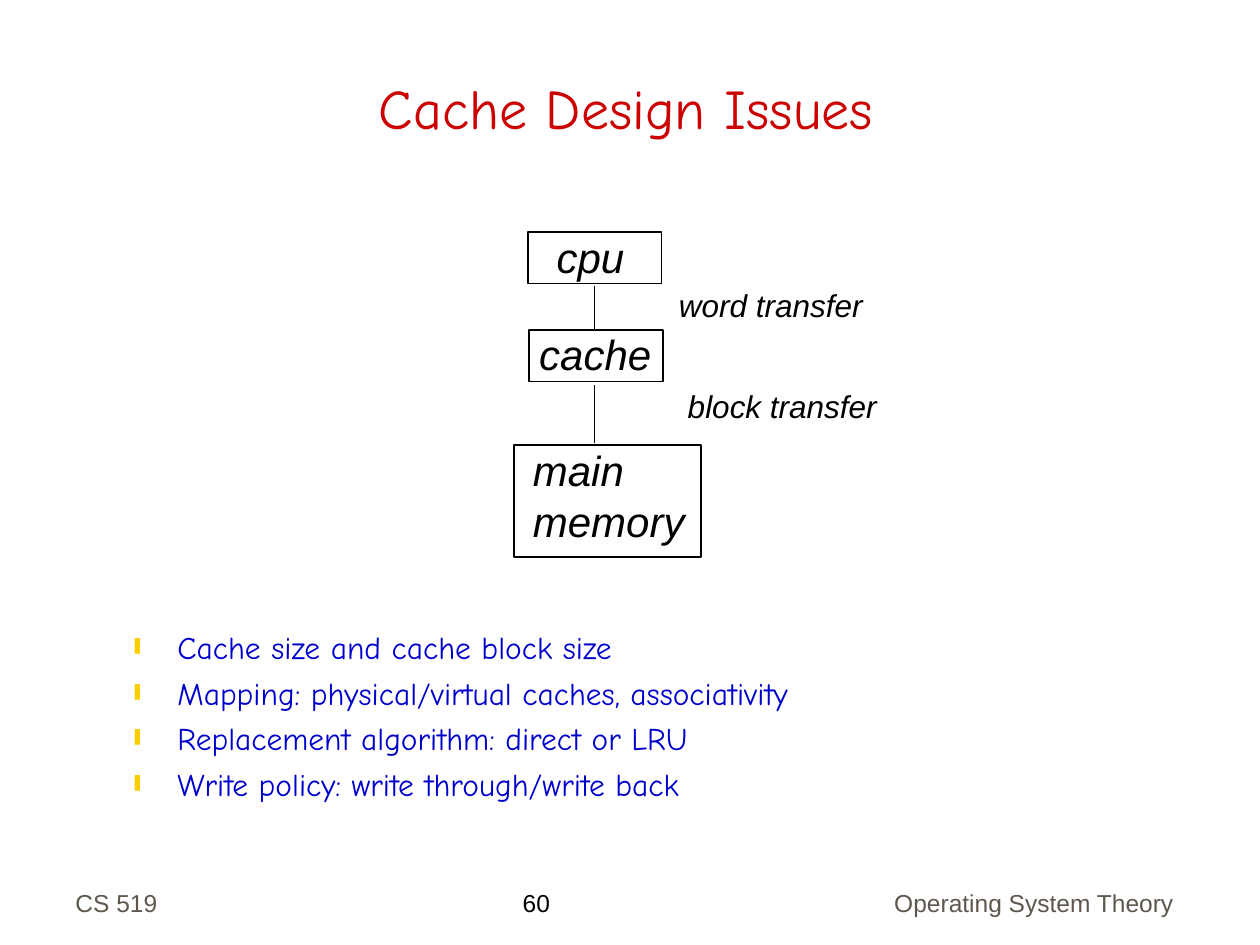
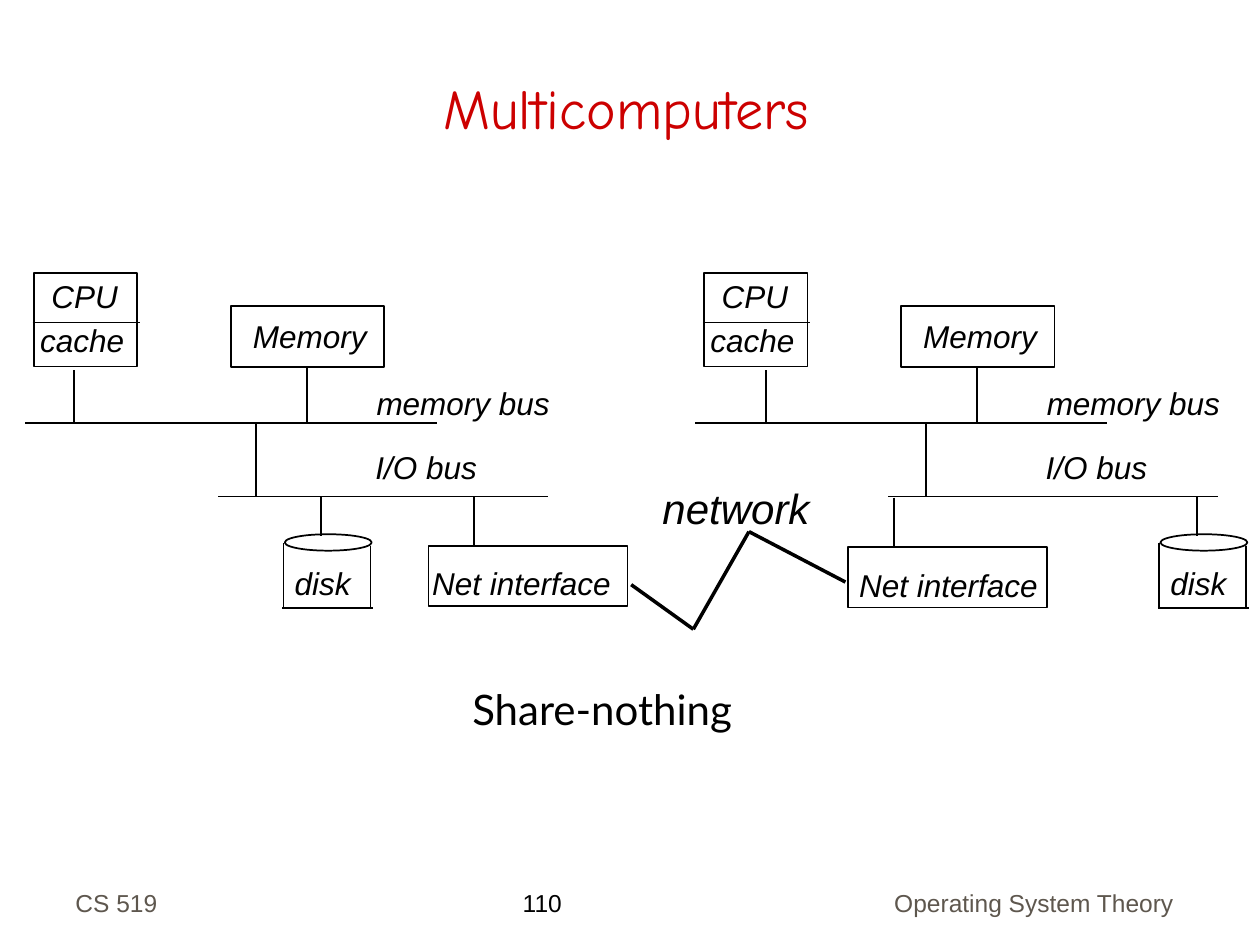
"""Build two lecture slides on cache design and multicomputers."""
from dataclasses import dataclass
from itertools import pairwise

from lxml import etree
from pptx import Presentation
from pptx.dml.color import RGBColor
from pptx.enum.shapes import MSO_CONNECTOR, MSO_SHAPE
from pptx.enum.text import MSO_ANCHOR, MSO_AUTO_SIZE, PP_ALIGN
from pptx.oxml.ns import qn
from pptx.slide import Slide
from pptx.util import Pt

LINE = MSO_CONNECTOR.STRAIGHT
RECT, OVAL = MSO_SHAPE.RECTANGLE, MSO_SHAPE.OVAL
TOP, BOTTOM = MSO_ANCHOR.TOP, MSO_ANCHOR.BOTTOM
LEFT, CENTER, RIGHT = PP_ALIGN.LEFT, PP_ALIGN.CENTER, PP_ALIGN.RIGHT
GROW, FIXED = MSO_AUTO_SIZE.SHAPE_TO_FIT_TEXT, MSO_AUTO_SIZE.NONE

BLACK = RGBColor(0x00, 0x00, 0x00)
WHITE = RGBColor(0xFF, 0xFF, 0xFF)
RED = RGBColor(0xCC, 0x00, 0x00)
BLUE = RGBColor(0x00, 0x00, 0xCC)
GOLD = RGBColor(0xFF, 0xCC, 0x00)
GREY = RGBColor(0x5E, 0x57, 0x4E)

SANS, COMIC, LATO = "Arial", "Comic Neue", "Lato"
SMALL, LARGE = 28.8, 36
INDENT = 26.6


@dataclass(frozen=True)
class Label:
    text: str
    x: float
    y: float
    w: float
    h: float = SMALL
    size: float = 18
    font: str = SANS
    color: RGBColor = BLACK
    slant: bool = True
    wrap: bool = False
    align: PP_ALIGN = LEFT
    anchor: MSO_ANCHOR = TOP
    bullet: bool = False


@dataclass(frozen=True)
class Box:
    x: float
    y: float
    w: float
    h: float
    kind: MSO_SHAPE = RECT


@dataclass(frozen=True)
class Wire:
    x1: float
    y1: float
    x2: float
    y2: float
    width: float = 1


@dataclass(frozen=True)
class Node:
    """Shifts of the parts of one computer from the left-hand one."""
    base: float = 0
    stem: float = 0
    disk: float = 0
    net: float = 0
    name: float = 0
    drop: float = 0


Part = Label | Box | Wire


def add_bullet(para) -> None:
    props = para._p.get_or_add_pPr()
    props.set("marL", str(Pt(INDENT)))
    props.set("indent", str(-Pt(INDENT)))
    tint = etree.SubElement(props, qn("a:buClr"))
    etree.SubElement(tint, qn("a:srgbClr")).set("val", str(GOLD))
    etree.SubElement(props, qn("a:buSzPct")).set("val", "50000")
    etree.SubElement(props, qn("a:buChar")).set("char", "❚")


def add_label(slide: Slide, item: Label) -> None:
    shape = slide.shapes.add_textbox(Pt(item.x), Pt(item.y), Pt(item.w), Pt(item.h))
    frame = shape.text_frame
    frame.word_wrap = item.wrap
    frame.auto_size = FIXED if item.wrap else GROW
    frame.vertical_anchor = item.anchor
    for i, line in enumerate(item.text.split("\n")):
        para = frame.add_paragraph() if i else frame.paragraphs[0]
        para.alignment = item.align
        if item.bullet:
            add_bullet(para)
            if i:
                para.space_before = Pt(4.5)
        run = para.add_run()
        run.text = line
        run.font.name = item.font
        run.font.size = Pt(item.size)
        run.font.italic = item.slant
        run.font.color.rgb = item.color


def add_box(slide: Slide, item: Box) -> None:
    shape = slide.shapes.add_shape(
        item.kind, Pt(item.x), Pt(item.y), Pt(item.w), Pt(item.h))
    shape.shadow.inherit = False
    shape.fill.solid()
    shape.fill.fore_color.rgb = WHITE
    shape.line.color.rgb = BLACK
    shape.line.width = Pt(1)


def add_wire(slide: Slide, item: Wire) -> None:
    wire = slide.shapes.add_connector(
        LINE, Pt(item.x1), Pt(item.y1), Pt(item.x2), Pt(item.y2))
    wire.line.color.rgb = BLACK
    wire.line.width = Pt(item.width)
    etree.SubElement(wire._element.spPr, qn("a:effectLst"))


def draw(slide: Slide, parts: list[Part]) -> None:
    tools = {Label: add_label, Box: add_box, Wire: add_wire}
    for part in parts:
        tools[type(part)](slide, part)


def add_slide(deck, title: str, page: int) -> Slide:
    slide = deck.slides.add_slide(deck.slide_layouts[6])
    draw(slide, [
        Label(str(page), 291.6, 504, 78.5, 24.5, 14, slant=False),
        Label("CS 519", 36, 491.8, 149.8, 36, 14, color=GREY,
              slant=False, wrap=True, anchor=BOTTOM),
        Label("Operating System Theory", 500, 486.7, 177.8, 41, 14, color=GREY,
              slant=False, wrap=True, align=RIGHT, anchor=BOTTOM),
        Label(title, 31.7, 18, 652.3, 66.2, 32, COMIC, RED,
              slant=False, wrap=True, align=CENTER, anchor=BOTTOM),
    ])
    return slide


def add_cache(deck) -> None:
    points = "\n".join([
        "Cache size and cache block size",
        "Mapping: physical/virtual caches, associativity",
        "Replacement algorithm: direct or LRU",
        "Write policy: write through/write back",
    ])
    mid = 339.8
    draw(add_slide(deck, "Cache Design Issues", 60), [
        Label(points, 67.7, 355.2, 602, 106.6, 18, COMIC, BLUE,
              slant=False, wrap=True, bullet=True),
        Box(301.7, 132.5, 76.3, 29.5),
        Box(302.4, 188.6, 76.3, 29.5),
        Box(293.8, 254.2, 106.6, 64.1),
        Label("cpu", 311, 128.9, 56, LARGE, 24),
        Label("cache", 301, 184.3, 82, LARGE, 24),
        Label("main\nmemory", 297.4, 250.6, 105, 64.8, 24),
        Wire(mid, 163.4, mid, 189.4),
        Wire(mid, 220.3, mid, 253.4),
        Label("word transfer", 380.9, 159.8, 123),
        Label("block transfer", 385.9, 217.4, 126),
    ])


def add_node(slide: Slide, node: Node) -> None:
    base, disk, net, drop = node.base, node.disk, node.net, node.drop
    stem = 42.5 + node.stem
    ram, link = 175.3 + base, 146.2 + base
    bus, port = 241.9, 283.7
    draw(slide, [
        Wire(14.4 + base, bus, 249.8 + base, bus),
        Box(19.4 + base, 156.2, 59, 53.3),
        Label("CPU", 22.3 + base, 154.8, 55, wrap=True),
        Label("cache", 15.8 + base, 180, 73.4, wrap=True),
        Wire(18.7 + base, 184.3, 79.9 + base, 184.3),
        Box(131.8 + base, 175, 87.8, 34.6),
        Label("Memory", 137.5 + base, 177.8, 83),
        Wire(stem, 211.7, stem, bus),
        Wire(ram, 210.2, ram, bus),
        Label("memory bus", 208.1 + base, 216, 117),
        Wire(124.6 + base, port, 313.2 + base, port),
        Wire(link, bus, link, port),
        Label("I/O bus", 207.4 + base, 252.7, 76),
        Box(162.7 + disk, 305.3, 49.7, 9.4, OVAL),
        Wire(183.6 + disk, port, 183.6 + disk, 306),
        Wire(162 + disk, 310.3, 162 + disk, 347.6),
        Wire(161.3 + disk, 347.6, 213.1 + disk, 347.6),
        Wire(211.7 + disk, 311.8, 211.7 + disk, 347.6),
        Label("disk", 161.3 + disk, 319, 50),
        Box(244.8 + net, 311.8 + drop, 113.8, 34.6),
        Wire(271 + net, port + drop, 271 + net, 312.5 + drop),
        Label("Net interface", 239.8 + node.name, 319 + drop, 120),
    ])


def add_multi(deck) -> None:
    slide = add_slide(deck, "Multicomputers", 110)
    add_node(slide, Node())
    add_node(slide, Node(383, 395.3, 500.4, 239.8, 244.1, 0.7))
    bends = [(360.7, 334.1), (396.2, 359.6), (428, 303.8), (483.1, 332.6)]
    draw(slide, [Wire(*start, *end, width=2) for start, end in pairwise(bends)])
    draw(slide, [
        Label("network", 371.5, 272.2, 102, LARGE, 24),
        Label("Share-nothing", 262.8, 387, 178, LARGE, 24, LATO, slant=False),
    ])


def main() -> None:
    deck = Presentation()
    deck.slide_width, deck.slide_height = Pt(720), Pt(540)
    add_cache(deck)
    add_multi(deck)
    deck.save("out.pptx")


if __name__ == "__main__":
    main()
